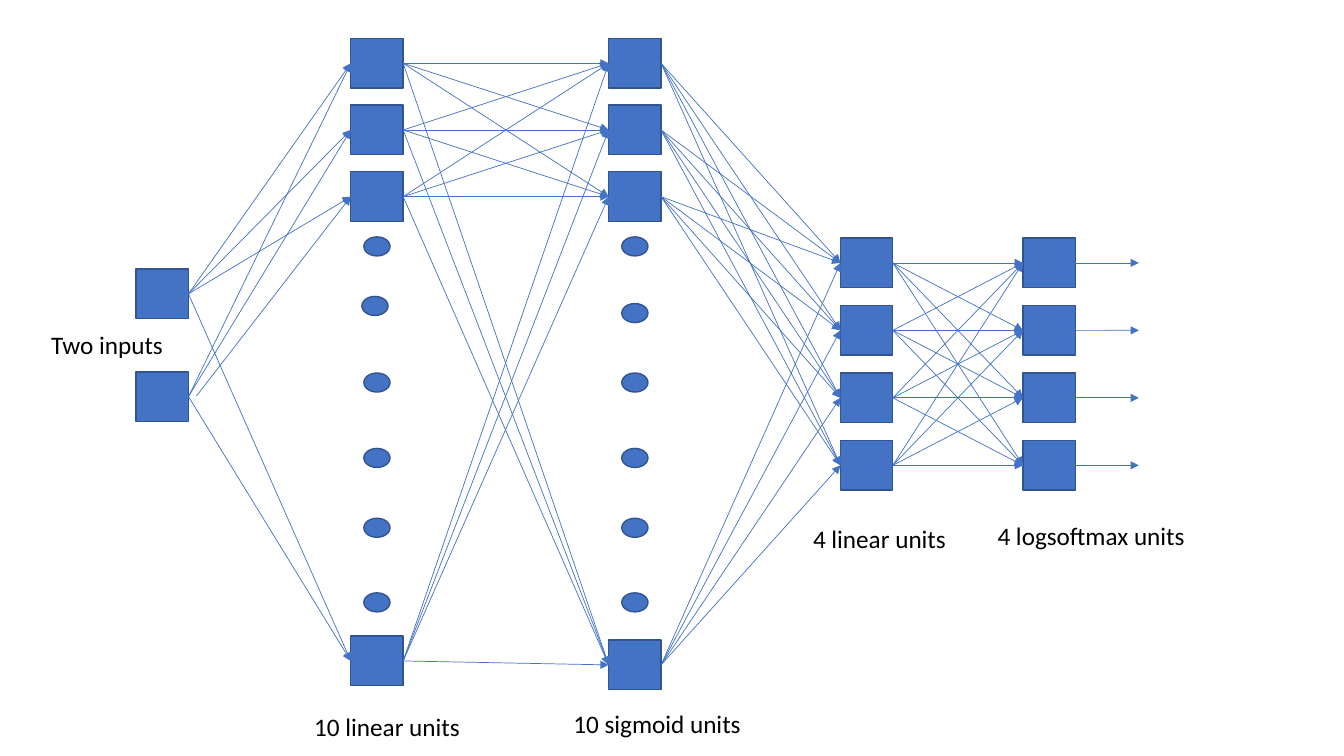
from itertools import product

from lxml import etree
from pptx import Presentation
from pptx.dml.color import RGBColor
from pptx.enum.shapes import MSO_CONNECTOR, MSO_SHAPE
from pptx.enum.text import MSO_AUTO_SIZE
from pptx.oxml.ns import qn
from pptx.util import Cm, Pt

BLUE = RGBColor(0x44, 0x72, 0xC4)
DARK_BLUE = RGBColor(0x32, 0x54, 0x91)
BLACK = RGBColor(0, 0, 0)
RECTANGLE = MSO_SHAPE.RECTANGLE
OVAL = MSO_SHAPE.OVAL
STRAIGHT = MSO_CONNECTOR.STRAIGHT
FIT_SHAPE = MSO_AUTO_SIZE.SHAPE_TO_FIT_TEXT
LEFT_SIDE, RIGHT_SIDE = 1, 3

UNIT_WIDTH, UNIT_HEIGHT = 1.32, 1.25
DOT_WIDTH, DOT_HEIGHT = 0.66, 0.48
INPUT_X, LINEAR_X, SIGMOID_X, CLASS_X, SOFTMAX_X = 3.43, 8.84, 15.34, 21.18, 25.78
HIDDEN_TOPS = [0.97 + 1.68 * row for row in range(3)]
CLASS_TOPS = [6 + 1.7 * row for row in range(4)]
DOT_TOPS = [5.97, 7.65, 9.4, 11.3, 13.06, 14.94]
DOT_INDENT = (UNIT_WIDTH - DOT_WIDTH) / 2
OUTPUT_END = 28.7

LABELS = [
    ("Two inputs", 1.04, 8.18, 3.35),
    ("10 linear units", 7.67, 17.81, 4.22),
    ("10 sigmoid units", 14.2, 17.73, 4.78),
    ("4 linear units", 20.24, 13.06, 3.91),
    ("4 logsoftmax units", 24.89, 12.98, 5.28),
]


class NetworkDiagram:
    font = "Calibri"
    font_size = Pt(18)
    outline_width = Pt(1)
    arrow_width = Pt(0.5)

    def __init__(self, page):
        self.page = page

    def node(self, kind, left, top, width, height):
        shape = self.page.shapes.add_shape(kind, Cm(left), Cm(top), Cm(width), Cm(height))
        shape.shadow.inherit = False
        shape.fill.solid()
        shape.fill.fore_color.rgb = BLUE
        shape.line.color.rgb = DARK_BLUE
        shape.line.width = self.outline_width
        return shape

    def layer(self, left, tops):
        return [self.node(RECTANGLE, left, top, UNIT_WIDTH, UNIT_HEIGHT) for top in tops]

    def dot(self, left, top):
        self.node(OVAL, left, top, DOT_WIDTH, DOT_HEIGHT)

    def arrow(self, source=None, target=None, start=(0, 0), end=(0, 0)):
        points = [Cm(value) for value in (*start, *end)]
        connector = self.page.shapes.add_connector(STRAIGHT, *points)
        if source is not None:
            connector.begin_connect(source, RIGHT_SIDE)
        if target is not None:
            connector.end_connect(target, LEFT_SIDE)
        connector.line.color.rgb = BLUE
        connector.line.width = self.arrow_width
        etree.SubElement(connector.line._get_or_add_ln(), qn("a:tailEnd"), type="triangle")
        etree.SubElement(connector._element.spPr, qn("a:effectLst"))

    def label(self, text, left, top, width):
        box = self.page.shapes.add_textbox(Cm(left), Cm(top), Cm(width), Cm(1.02))
        frame = box.text_frame
        frame.word_wrap = False
        frame.auto_size = FIT_SHAPE
        frame.text = text
        span = frame.paragraphs[0].runs[0]
        span.font.name = self.font
        span.font.size = self.font_size
        span.font.color.rgb = BLACK


def main():
    deck = Presentation()
    deck.slide_width, deck.slide_height = Cm(33.87), Cm(19.05)
    diagram = NetworkDiagram(deck.slides.add_slide(deck.slide_layouts[6]))

    inputs = diagram.layer(INPUT_X, [6.78, 9.37])
    linear = diagram.layer(LINEAR_X, HIDDEN_TOPS + [16.03])
    sigmoid = diagram.layer(SIGMOID_X, HIDDEN_TOPS + [16.13])
    classes = diagram.layer(CLASS_X, CLASS_TOPS)
    softmax = diagram.layer(SOFTMAX_X, CLASS_TOPS)

    for column, top in product((LINEAR_X, SIGMOID_X), DOT_TOPS):
        if (column, top) == (LINEAR_X, DOT_TOPS[1]):
            diagram.dot(column + DOT_INDENT - 0.05, top - 0.18)
        else:
            diagram.dot(column + DOT_INDENT, top)

    layers = [inputs, linear, sigmoid, classes, softmax]
    for sources, targets in zip(layers, layers[1:]):
        for source, target in product(sources, targets):
            if source is inputs[1] and target is linear[2]:
                diagram.arrow(target=target, start=(4.95, 9.98))
            else:
                diagram.arrow(source, target)

    for unit, top in zip(softmax, CLASS_TOPS):
        diagram.arrow(unit, end=(OUTPUT_END, top + UNIT_HEIGHT / 2))

    for label in LABELS:
        diagram.label(*label)

    deck.save("out.pptx")


if __name__ == "__main__":
    main()
